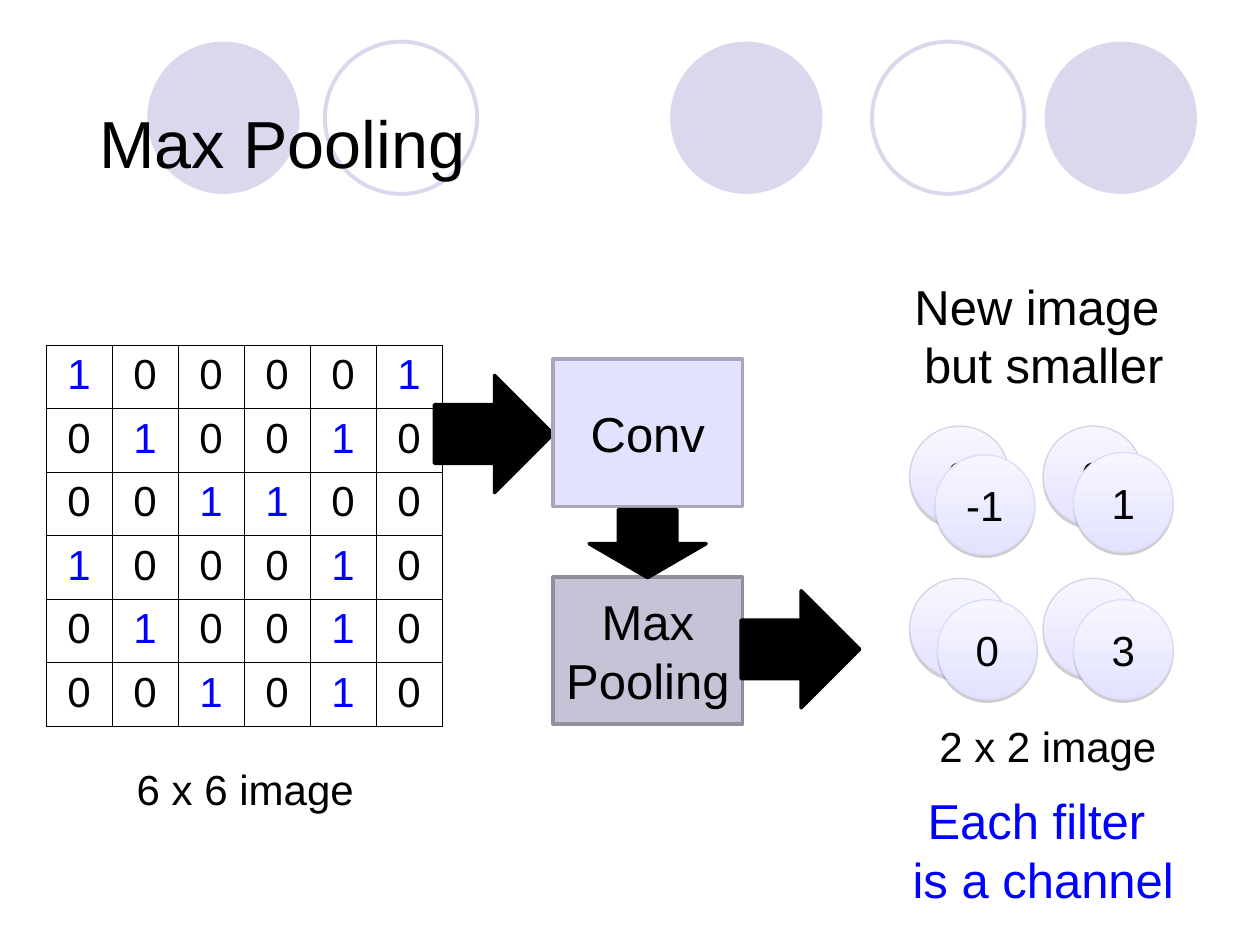
from lxml import etree
from pptx import Presentation
from pptx.dml.color import RGBColor
from pptx.enum.shapes import MSO_SHAPE
from pptx.enum.text import MSO_ANCHOR, MSO_AUTO_SIZE, PP_ALIGN
from pptx.oxml.ns import qn
from pptx.util import Cm, Pt

OVAL, RECTANGLE, ARROW = MSO_SHAPE.OVAL, MSO_SHAPE.RECTANGLE, MSO_SHAPE.RIGHT_ARROW
MIDDLE, TOP = MSO_ANCHOR.MIDDLE, MSO_ANCHOR.TOP
CENTER, LEFT = PP_ALIGN.CENTER, PP_ALIGN.LEFT
GROW, FIXED = MSO_AUTO_SIZE.SHAPE_TO_FIT_TEXT, MSO_AUTO_SIZE.NONE

BLACK = RGBColor(0x00, 0x00, 0x00)
BLUE = RGBColor(0x00, 0x00, 0xFF)
LAVENDER = RGBColor(0xD9, 0xD8, 0xEC)
CONV_FILL = RGBColor(0xE2, 0xE2, 0xFF)
CONV_LINE = RGBColor(0xA6, 0xA6, 0xBC)
POOL_FILL = RGBColor(0xC4, 0xC4, 0xD6)
POOL_LINE = RGBColor(0x8F, 0x8F, 0x9D)
BACK_COLORS = (RGBColor(0xF7, 0xF6, 0xFF), RGBColor(0xE5, 0xE3, 0xFF), RGBColor(0xD4, 0xD3, 0xE7))
FRONT_COLORS = (RGBColor(0xF6, 0xF6, 0xFF), RGBColor(0xE3, 0xE3, 0xFF), RGBColor(0xDC, 0xDC, 0xFA))

PIXELS = ("100001", "010010", "001100", "100010", "010010", "001010")
PIXEL_WIDTH, PIXEL_HEIGHT = 1.33, 1.28
CIRCLE_SIZE = 3.07
DISC_SIZE = 2.01


def write_text(frame, lines, size, color=BLACK, align=CENTER, anchor=MIDDLE):
    for name, value in {"word_wrap": True, "vertical_anchor": anchor}.items():
        setattr(frame, name, value)
    for index, line in enumerate(lines):
        para = frame.add_paragraph() if index else frame.paragraphs[0]
        para.alignment = align
        span = para.add_run()
        span.text = line
        for name, value in {"name": "Arial", "size": Pt(size)}.items():
            setattr(span.font, name, value)
        span.font.color.rgb = color


def add_caption(page, place, lines, size, color=BLACK):
    box = page.shapes.add_textbox(*map(Cm, place))
    write_text(box.text_frame, lines, size, color, anchor=TOP)
    box.text_frame.auto_size = GROW


def add_figure(page, kind, place, fill, line, line_width):
    figure = page.shapes.add_shape(kind, *map(Cm, place))
    figure.shadow.inherit = False
    if fill is None:
        figure.fill.background()
    else:
        figure.fill.solid()
        figure.fill.fore_color.rgb = fill
    if line is None:
        figure.line.fill.background()
    else:
        figure.line.color.rgb = line
        figure.line.width = Pt(line_width)
    return figure


def add_circle(page, left, filled):
    fill, line = (LAVENDER, None) if filled else (None, LAVENDER)
    add_figure(page, OVAL, (left, 0.84, CIRCLE_SIZE, CIRCLE_SIZE), fill, line, 2.25)


def add_arrow(page, place, rotation=0):
    arrow = add_figure(page, ARROW, place, BLACK, BLACK, 2)
    arrow.rotation = rotation


def add_step(page, place, lines, fill, line):
    step = add_figure(page, RECTANGLE, place, fill, line, 2)
    write_text(step.text_frame, lines, 28)


def add_drop_shadow(figure):
    effects = figure.element.spPr.find(qn("a:effectLst"))
    shadow = etree.SubElement(effects, qn("a:outerShdw"), dist=str(Pt(1.6)), dir="5400000", rotWithShape="0")
    color = etree.SubElement(shadow, qn("a:srgbClr"), val="808080")
    etree.SubElement(color, qn("a:alpha"), val="38000")


def add_disc(page, left, top, value, colors):
    light, dark, line = colors
    disc = add_figure(page, OVAL, (left, top, DISC_SIZE, DISC_SIZE), light, line, 0.75)
    disc.fill.gradient()
    disc.fill.gradient_angle = 270
    for stop, color in zip(disc.fill.gradient_stops, (light, dark)):
        stop.color.rgb = color
    add_drop_shadow(disc)
    if value:
        write_text(disc.text_frame, [value], 24)


def add_borders(cell):
    properties = cell._tc.get_or_add_tcPr()
    for side in ("lnL", "lnR", "lnT", "lnB"):
        line = etree.SubElement(properties, qn(f"a:{side}"), w=str(Pt(0.45)))
        fill = etree.SubElement(line, qn("a:solidFill"))
        etree.SubElement(fill, qn("a:srgbClr"), val=str(BLACK))


def add_pixel_table(page):
    count = len(PIXELS)
    place = (0.93, 6.96, count * PIXEL_WIDTH, count * PIXEL_HEIGHT)
    table = page.shapes.add_table(count, count, *map(Cm, place)).table
    table.first_row = table.horz_banding = False
    for column in table.columns:
        column.width = Cm(PIXEL_WIDTH)
    for row, values in zip(table.rows, PIXELS):
        row.height = Cm(PIXEL_HEIGHT)
        for cell, value in zip(row.cells, values):
            add_borders(cell)
            cell.fill.background()
            write_text(cell.text_frame, [value], 24, BLUE if value == "1" else BLACK, anchor=TOP)


def place_title(page, text):
    title = page.shapes.title
    title.element.getparent().append(title.element)
    for name, value in {"left": 1.75, "top": 1.02, "width": 21.92, "height": 3.68}.items():
        setattr(title, name, Cm(value))
    write_text(title.text_frame, [text], 38, align=LEFT)
    title.text_frame.auto_size = FIXED


def main():
    deck = Presentation()
    deck.slide_width, deck.slide_height = Cm(25.4), Cm(19.05)
    page = deck.slides.add_slide(deck.slide_layouts[5])

    for left, filled in ((13.51, True), (21.06, True), (2.97, True), (17.58, False), (6.55, False)):
        add_circle(page, left, filled)
    place_title(page, "Max Pooling")

    add_pixel_table(page)
    add_caption(page, (1.68, 15.27, 6.53, 1.27), ["6 x 6 image"], 24)

    for left, top, value in ((18.34, 8.59, "3"), (21.03, 8.59, "0"), (21.03, 11.66, ""), (18.34, 11.66, "")):
        add_disc(page, left, top, value, BACK_COLORS)
    for left, top, value in ((18.85, 9.17, "-1"), (21.64, 9.12, "1"), (21.64, 12.09, "3"), (18.9, 12.09, "0")):
        add_disc(page, left, top, value, FRONT_COLORS)
    add_caption(page, (17.86, 14.4, 6.53, 1.27), ["2 x 2 image"], 24)
    add_caption(page, (17.88, 15.82, 6.3, 2.64), ["Each filter ", "is a channel"], 28, BLUE)
    add_caption(page, (17.88, 5.44, 6.32, 2.64), ["New image ", "but smaller"], 28)

    add_arrow(page, (8.76, 7.57, 2.39, 2.36))
    add_step(page, (11.15, 7.24, 3.82, 2.97), ["Conv"], CONV_FILL, CONV_LINE)
    add_step(page, (11.15, 11.63, 3.82, 2.97), ["Max", "Pooling"], POOL_FILL, POOL_LINE)
    add_arrow(page, (14.94, 11.91, 2.39, 2.36))
    add_arrow(page, (12.37, 9.78, 1.37, 2.36), rotation=90)

    deck.save("out.pptx")


if __name__ == "__main__":
    main()
